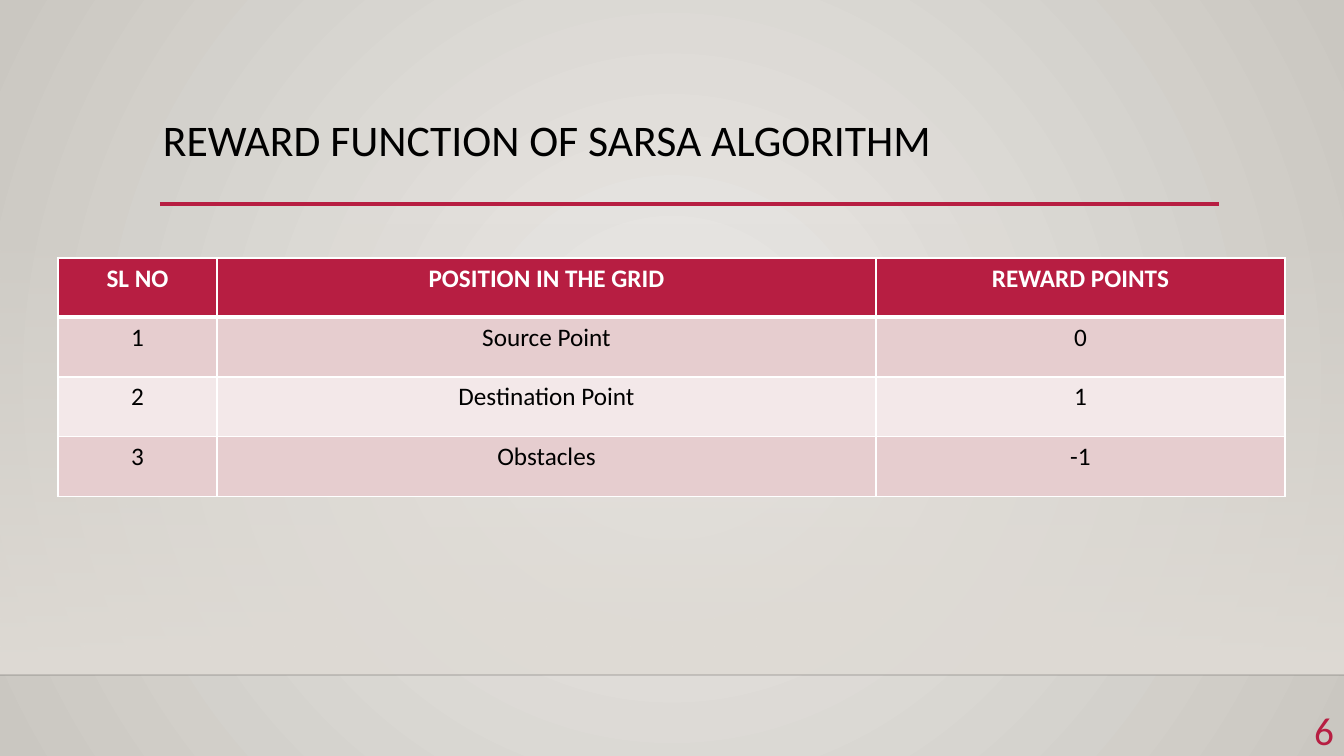
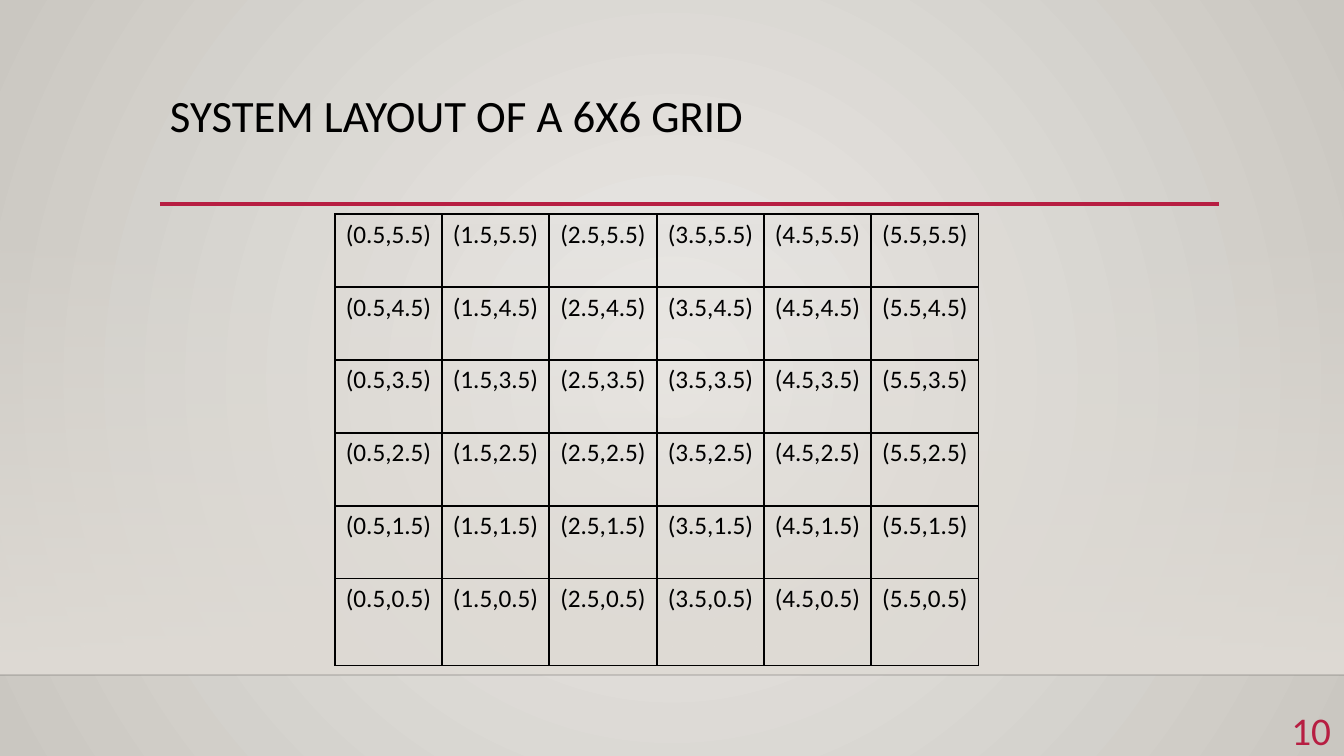
from lxml import etree
from pptx import Presentation
from pptx import util as u
from pptx.dml.color import RGBColor
from pptx.enum import shapes, text
from pptx.oxml.ns import qn

PX = 914400 / 100.8
WIDTH, HEIGHT = 1344, 756
FLOOR = 675
CRIMSON = RGBColor(0xB7, 0x1E, 0x42)
BLACK = RGBColor(0x00, 0x00, 0x00)
WHITE = RGBColor(0xFF, 0xFF, 0xFF)
ROSE = RGBColor(0xE6, 0xCD, 0xCF)
BLUSH = RGBColor(0xF3, 0xE8, 0xE9)
PALE = RGBColor(0xEC, 0xEA, 0xE7)
STONE = RGBColor(0xCA, 0xC7, 0xC1)
SAND = RGBColor(0xDF, 0xDB, 0xD5)
PLAIN_TABLE = "{2D5ABB26-0587-4C30-8999-92F81FD0307C}"


def px(length):
    return u.Emu(round(length * PX))


def apply(target, values):
    for name, value in values.items():
        setattr(target, name, value)


def add_xml(parent, tag, **values):
    return etree.SubElement(parent, qn(tag), values)


def set_opacity(element, percent):
    color = element.find(".//" + qn("a:srgbClr"))
    add_xml(color, "a:alpha", val=str(percent * 1000))


class Deck:
    FONT = "Calibri"

    def __init__(self):
        self.deck = Presentation()
        apply(self.deck, {"slide_width": px(WIDTH), "slide_height": px(HEIGHT)})
        self.page = None

    def new_page(self, number, number_right):
        self.page = self.deck.slides.add_slide(self.deck.slide_layouts[6])
        self.backdrop()
        self.band()
        self.line(0, WIDTH, FLOOR, BLACK, 1, opacity=20)
        self.line(160, 1219, 204, CRIMSON, 2.5)
        self.label(number, (number_right - 90, 701, 90, 55), 28, CRIMSON,
                   {"alignment": text.PP_ALIGN.RIGHT})

    def gradient(self, fill, colors):
        fill.gradient()
        for stop, color in zip(fill.gradient_stops, colors):
            stop.color.rgb = color

    def backdrop(self):
        self.gradient(self.page.background.fill, (PALE, STONE))
        gradient = self.page.element.find(".//" + qn("a:gradFill"))
        gradient.remove(gradient.find(qn("a:lin")))
        circle = add_xml(gradient, "a:path", path="circle")
        add_xml(circle, "a:fillToRect", **dict.fromkeys("ltrb", "50000"))

    def band(self):
        box = self.page.shapes.add_shape(
            shapes.MSO_SHAPE.RECTANGLE, 0, px(223), px(WIDTH), px(FLOOR - 223))
        box.shadow.inherit = False
        box.line.fill.background()
        self.gradient(box.fill, (SAND, SAND))
        box.fill.gradient_angle = 270
        set_opacity(box.element.find(".//" + qn("a:gs")), 0)

    def line(self, left, right, top, color, width, opacity=100):
        rule = self.page.shapes.add_connector(
            shapes.MSO_CONNECTOR.STRAIGHT, px(left), px(top), px(right), px(top))
        rule.line.color.rgb = color
        rule.line.width = u.Pt(width)
        if opacity < 100:
            set_opacity(rule.element.spPr, opacity)
        add_xml(rule.element.spPr, "a:effectLst")

    def set_text(self, frame, words, size, color, layout, bold=False):
        para = frame.paragraphs[0]
        apply(para, layout)
        span = para.add_run()
        span.text = words
        apply(span.font, {"name": self.FONT, "size": u.Pt(size), "bold": bold})
        span.font.color.rgb = color

    def label(self, words, place, size, color, layout):
        box = self.page.shapes.add_textbox(*map(px, place))
        box.text_frame.word_wrap = True
        self.set_text(box.text_frame, words, size, color, layout)

    def title(self, words, left, top, size, spacing):
        self.label(words, (left, top, 1058, 116), size, BLACK,
                   {"line_spacing": spacing})

    def borders(self, cell, color, widths):
        properties = cell._tc.get_or_add_tcPr()
        for index, (side, width) in enumerate(zip("LRTB", widths)):
            edge = etree.Element(qn("a:ln" + side), w=str(u.Pt(width)))
            fill = add_xml(edge, "a:solidFill")
            add_xml(fill, "a:srgbClr", val=str(color))
            properties.insert(index, edge)

    def table(self, left, top, columns, heights, rows, border, fills=(), header=False):
        frame = self.page.shapes.add_table(
            len(rows), len(columns), px(left), px(top),
            px(sum(columns)), px(sum(heights)))
        frame.element.find(".//" + qn("a:tableStyleId")).text = PLAIN_TABLE
        table = frame.table
        apply(table, {"first_row": header, "horz_banding": False})
        for column, width in zip(table.columns, columns):
            column.width = px(width)
        for index, (row, height, values) in enumerate(zip(table.rows, heights, rows)):
            row.height = px(height)
            heading = header and index == 0
            widths = (1, 1, 3 if header and index == 1 else 1, 3 if heading else 1)
            for cell, words in zip(row.cells, values):
                apply(cell, {"margin_left": px(5), "margin_right": px(5)})
                if fills:
                    cell.fill.solid()
                    cell.fill.fore_color.rgb = fills[index]
                else:
                    cell.fill.background()
                self.borders(cell, border, widths)
                self.set_text(cell.text_frame, words, 18, WHITE if heading else BLACK,
                              {"alignment": text.PP_ALIGN.CENTER}, heading)


def reward_page(deck):
    deck.new_page("6", 1344)
    rows = [
        ("SL NO", "POSITION IN THE GRID", "REWARD POINTS"),
        ("1", "Source Point", "0"),
        ("2", "Destination Point", "1"),
        ("3", "Obstacles", "-1"),
    ]
    deck.table(58, 258, (159, 659, 409), (59, 60, 60, 60), rows, WHITE,
               (CRIMSON, ROSE, BLUSH, ROSE), header=True)
    deck.title("REWARD FUNCTION OF SARSA ALGORITHM", 153, 108, 31.2, 1.0)


def grid_page(deck):
    deck.new_page("10", 1341)
    deck.title("SYSTEM LAYOUT OF A 6X6 GRID", 160, 89, 32, 0.9)
    rows = [[f"({x}.5,{y}.5)" for x in range(6)] for y in reversed(range(6))]
    deck.table(335, 214, (107, 107, 108) * 2, [73] * 5 + [87], rows, BLACK)


def main():
    deck = Deck()
    reward_page(deck)
    grid_page(deck)
    deck.deck.save("out.pptx")


if __name__ == "__main__":
    main()
